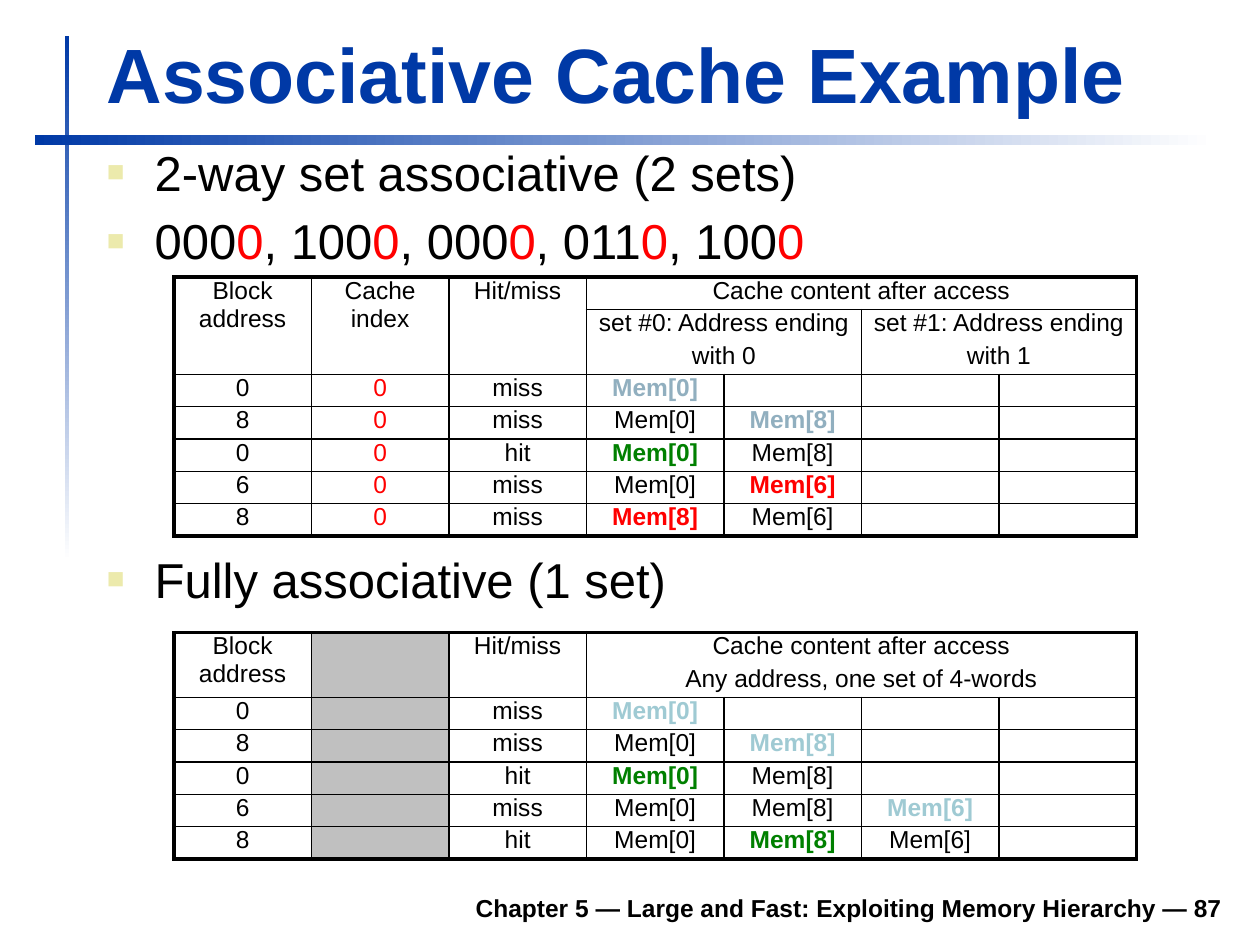
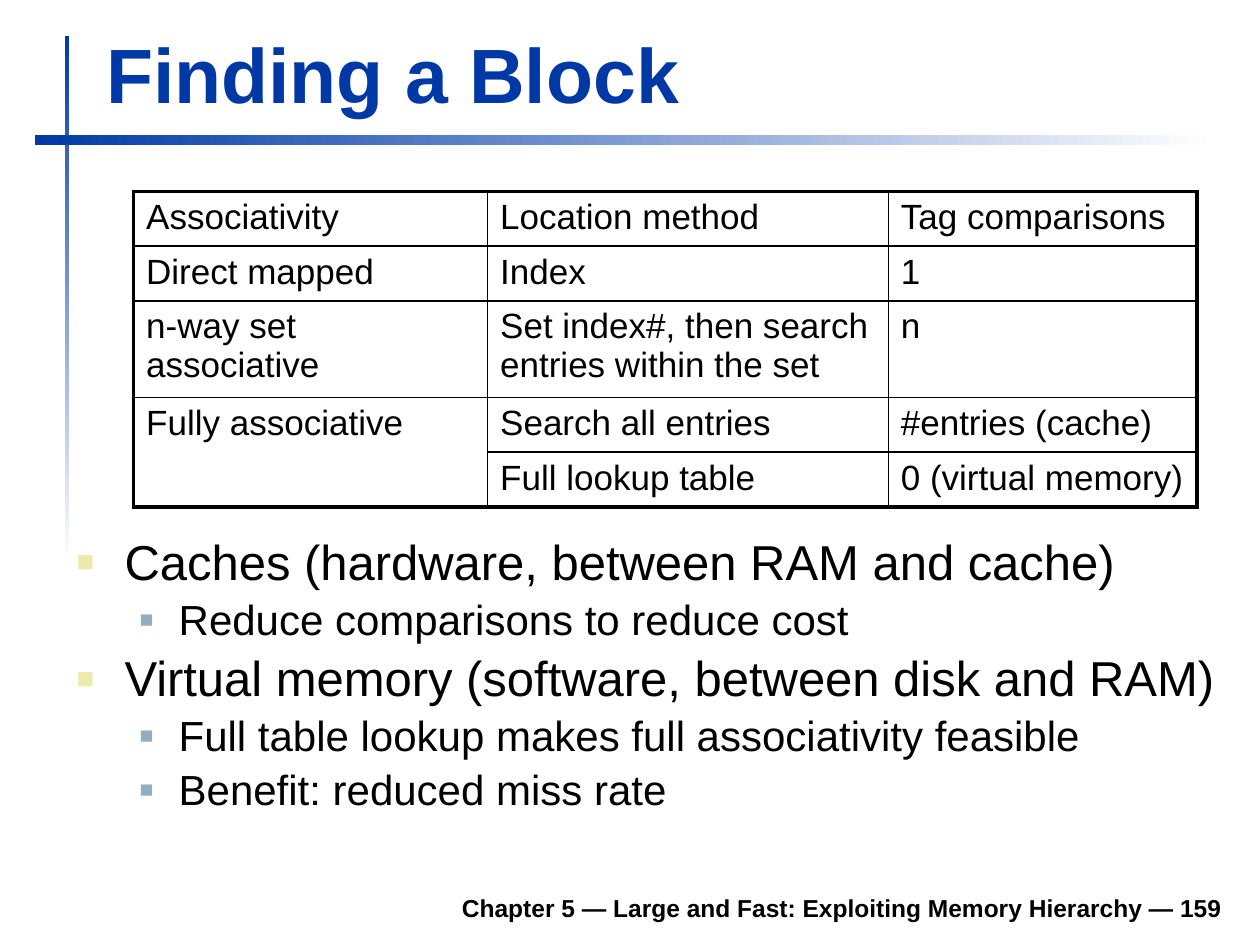
from lxml import etree
from pptx import Presentation
from pptx import util as u
from pptx.dml.color import RGBColor
from pptx.enum import shapes, text
from pptx.oxml import ns

COLORS = {
    "blue": "0039A6", "white": "FFFFFF", "black": "000000", "red": "FF0000",
    "green": "008000", "steel": "91AFBF", "aqua": "9FCAD3", "sand": "ECEAAC",
    "gray": "C0C0C0",
}
FONT = "Arial"
COLUMNS, ROWS = 100, 75
FOOTER = "Chapter 5 — Large and Fast: Exploiting Memory Hierarchy — "
OUTER_LINE, INNER_LINE = 2.25, 1
SPACE_SHARE = 0.2  # space before a paragraph, as a share of its text size

# Bullet levels: text size, bullet colour, bullet size, left margin, hanging indent
LEVELS = [
    {"size": 28, "color": "sand", "percent": 60, "margin": 0.38, "hang": 0.38},
    {"size": 24, "color": "steel", "percent": 55, "margin": 0.81, "hang": 0.31},
]


def rgb(name):
    return RGBColor.from_string(COLORS[name])


def set_values(target, values):
    for name, value in values.items():
        setattr(target, name, value)


def add_xml(parent, tag, **attributes):
    return etree.SubElement(parent, ns.qn(tag), attributes)


class Deck:
    """Holds the style, the grid and the slide being filled."""

    def __init__(self):
        self.presentation = Presentation()
        set_values(self.presentation, {"slide_width": u.Inches(10), "slide_height": u.Inches(7.5)})
        self.column = self.presentation.slide_width / COLUMNS
        self.row = self.presentation.slide_height / ROWS
        self.slide = None

    def box(self, left, top, width, height):
        """Turn grid columns and rows into lengths."""
        return [round(left * self.column), round(top * self.row),
                round(width * self.column), round(height * self.row)]

    def new_slide(self, title, number):
        self.slide = self.presentation.slides.add_slide(self.presentation.slide_layouts[5])
        self.band(5.15, 2.85, 0.35, 41.7, angle=270)
        self.band(2.75, 10.7, 93.7, 0.8, angle=0)
        self.title(title)
        self.footer(number)

    def band(self, left, top, width, height, angle):
        shape = self.slide.shapes.add_shape(
            shapes.MSO_SHAPE.RECTANGLE, *self.box(left, top, width, height))
        shape.shadow.inherit = False
        shape.line.fill.background()
        shape.fill.gradient()
        shape.fill.gradient_angle = angle
        for stop, color in zip(shape.fill.gradient_stops, ("blue", "white")):
            stop.color.rgb = rgb(color)

    def title(self, wording):
        shape = self.slide.shapes.title
        left, top, width, height = self.box(7.45, 1.65, 90.3, 8.3)
        set_values(shape, {"left": left, "top": top, "width": width, "height": height})
        set_values(shape.text_frame, {
            "vertical_anchor": text.MSO_ANCHOR.BOTTOM,
            "auto_size": text.MSO_AUTO_SIZE.SHAPE_TO_FIT_TEXT,
        })
        paragraph = shape.text_frame.paragraphs[0]
        paragraph.alignment = text.PP_ALIGN.LEFT
        self.run(paragraph, wording, 44, "blue", bold=True)

    def footer(self, number):
        frame = self.text_box(18.5, 69.8, 79.5, 3.9)
        frame.vertical_anchor = text.MSO_ANCHOR.BOTTOM
        paragraph = frame.paragraphs[0]
        paragraph.alignment = text.PP_ALIGN.RIGHT
        self.run(paragraph, f"{FOOTER}{number}", 14, "black", bold=True)

    def text_box(self, *place):
        frame = self.slide.shapes.add_textbox(*self.box(*place)).text_frame
        frame.word_wrap = True
        return frame

    def run(self, paragraph, wording, size, color="black", bold=False):
        run = paragraph.add_run()
        run.text = wording
        set_values(run.font, {"name": FONT, "size": u.Pt(size), "bold": bold})
        run.font.color.rgb = rgb(color)

    def bullets(self, place, items, line_spacing=1.0):
        """Each item is a level and its runs, given as (wording, colour)."""
        frame = self.text_box(*place)
        for index, (level, runs) in enumerate(items):
            style = LEVELS[level]
            paragraph = frame.add_paragraph() if index else frame.paragraphs[0]
            properties = paragraph._p.get_or_add_pPr()
            properties.set("marL", str(u.Inches(style["margin"])))
            properties.set("indent", str(-u.Inches(style["hang"])))
            color = add_xml(properties, "a:buClr")
            add_xml(color, "a:srgbClr", val=COLORS[style["color"]])
            add_xml(properties, "a:buSzPct", val=str(style["percent"] * 1000))
            add_xml(properties, "a:buFont", typeface=FONT)
            add_xml(properties, "a:buChar", char="■")
            set_values(paragraph, {"level": level, "line_spacing": line_spacing})
            if index:
                paragraph.space_before = u.Pt(style["size"] * SPACE_SHARE)
            for wording, color_name in runs:
                self.run(paragraph, wording, style["size"], color_name)

    def table(self, place, widths, heights, rows, size, merges=(), align=text.PP_ALIGN.LEFT,
              insets=(0.1, 0.05), header_line=INNER_LINE, gray_column=None):
        """Widths are shares, heights are grid rows; a cell is wording or (wording, colour, bold)."""
        left, top, width, height = self.box(*place)
        frame = self.slide.shapes.add_table(len(heights), len(widths), left, top, width, height)
        table = frame.table
        set_values(table, {"first_row": False, "horz_banding": False})
        for column, share in zip(table.columns, widths):
            column.width = round(width * share / sum(widths))
        for row, row_height in zip(table.rows, heights):
            row.height = round(row_height * self.row)
        frame.height = height
        for first, last in merges:
            table.cell(*first).merge(table.cell(*last))

        side, end = (u.Inches(inset) for inset in insets)
        for r, row in enumerate(rows):
            for c, content in enumerate(row):
                cell = table.cell(r, c)
                if cell.is_spanned:
                    continue
                set_values(cell, {"margin_left": side, "margin_right": side,
                                  "margin_top": end, "margin_bottom": end})
                self.cell_text(cell, content, size, align)
                bottom = r + (cell.span_height if cell.is_merge_origin else 1)
                right = c + (cell.span_width if cell.is_merge_origin else 1)
                row_lines = {0: OUTER_LINE, 1: header_line, len(heights): OUTER_LINE}
                column_lines = {0: OUTER_LINE, len(widths): OUTER_LINE}
                self.cell_borders(cell, {
                    "L": column_lines.get(c, INNER_LINE),
                    "R": column_lines.get(right, INNER_LINE),
                    "T": row_lines.get(r, INNER_LINE),
                    "B": row_lines.get(bottom, INNER_LINE),
                })
                if c == gray_column:
                    cell.fill.solid()
                    cell.fill.fore_color.rgb = rgb("gray")
                else:
                    cell.fill.background()

    def cell_text(self, cell, content, size, align):
        wording, *style = (content,) if isinstance(content, str) else content
        frame = cell.text_frame
        for index, line in enumerate(wording.split("\n")):
            paragraph = frame.add_paragraph() if index else frame.paragraphs[0]
            paragraph.alignment = align
            if index:
                paragraph.space_before = u.Pt(size * SPACE_SHARE)
            if line:
                self.run(paragraph, line, size, *style)
            else:
                add_xml(paragraph._p, "a:endParaRPr", sz=str(size * 100))

    def cell_borders(self, cell, widths):
        properties = cell._tc.get_or_add_tcPr()
        for side, width in widths.items():
            line = add_xml(properties, f"a:ln{side}", w=str(u.Pt(width)))
            add_xml(add_xml(line, "a:solidFill"), "a:srgbClr", val=COLORS["black"])


def plain(wording, level=0):
    return level, [(wording, "black")]


def address_runs(addresses):
    """Colour the last bit of each address, which is the set index."""
    runs = []
    for index, address in enumerate(addresses):
        separator = ", " if index else ""
        runs += [(separator + address[:-1], "black"), (address[-1], "red")]
    return 0, runs


def associative_cache_example(deck):
    deck.new_slide("Associative Cache Example", 87)
    deck.bullets((7.5, 10.8, 85, 11), [
        plain("2-way set associative (2 sets)"),
        address_runs(["0000", "1000", "0000", "0110", "1000"]),
    ])
    deck.bullets((7.5, 43.1, 85, 6.3), [plain("Fully associative (1 set)")])

    # Both cache tables share their columns and text style
    cache_style = {"widths": [1] * 7, "size": 14, "align": text.PP_ALIGN.CENTER,
                   "insets": (0.06, 0)}
    content = "Cache content after access"
    index = ("0", "red")
    single, double = 2.57, 5.14

    def block(number, color):
        return f"Mem[{number}]", color, True

    # Two-way set associative
    deck.table(
        (13.8, 22, 76.4, 20.6), heights=[single, double] + [single] * 5,
        merges=[((0, 0), (1, 0)), ((0, 1), (1, 1)), ((0, 2), (1, 2)),
                ((0, 3), (0, 6)), ((1, 3), (1, 4)), ((1, 5), (1, 6))],
        rows=[
            ["Block address", "Cache index", "Hit/miss", content, "", "", ""],
            ["", "", "", "set #0: Address ending\nwith 0", "",
             "set #1: Address ending\nwith 1", ""],
            ["0", index, "miss", block(0, "steel"), "", "", ""],
            ["8", index, "miss", "Mem[0]", block(8, "steel"), "", ""],
            ["0", index, "hit", block(0, "green"), "Mem[8]", "", ""],
            ["6", index, "miss", "Mem[0]", block(6, "red"), "", ""],
            ["8", index, "miss", block(8, "red"), "Mem[6]", "", ""],
        ], **cache_style)

    # Fully associative
    deck.table(
        (13.8, 50.2, 76.4, 18), heights=[double] + [single] * 5,
        merges=[((0, 3), (0, 6))], gray_column=1,
        rows=[
            ["Block address", "", "Hit/miss",
             f"{content}\nAny address, one set of 4-words", "", "", ""],
            ["0", "", "miss", block(0, "aqua"), "", "", ""],
            ["8", "", "miss", "Mem[0]", block(8, "aqua"), "", ""],
            ["0", "", "hit", block(0, "green"), "Mem[8]", "", ""],
            ["6", "", "miss", "Mem[0]", "Mem[8]", block(6, "aqua"), ""],
            ["8", "", "hit", "Mem[0]", block(8, "green"), "Mem[6]", ""],
        ], **cache_style)


def finding_a_block(deck):
    deck.new_slide("Finding a Block", 159)
    deck.bullets((5.1, 42.2, 92.8, 26), [
        plain("Caches (hardware, between RAM and cache)"),
        plain("Reduce comparisons to reduce cost", 1),
        plain("Virtual memory (software, between disk and RAM)"),
        plain("Full table lookup makes full associativity feasible", 1),
        plain("Benefit: reduced miss rate", 1),
    ], line_spacing=0.9)
    deck.table(
        (10.6, 15.2, 84.4, 25), widths=[2.81, 3.18, 2.45],
        heights=[3.7, 3.7, 4.8, 3.7, 3.7], size=20, header_line=1.5,
        merges=[((3, 0), (4, 0))],
        rows=[
            ["Associativity", "Location method", "Tag comparisons"],
            ["Direct mapped", "Index", "1"],
            ["n-way set associative", "Set index#, then search entries within the set", "n"],
            ["Fully associative", "Search all entries", "#entries (cache)"],
            ["", "Full lookup table", "0 (virtual memory)"],
        ])


def main():
    deck = Deck()
    associative_cache_example(deck)
    finding_a_block(deck)
    deck.presentation.save("out.pptx")


if __name__ == "__main__":
    main()
